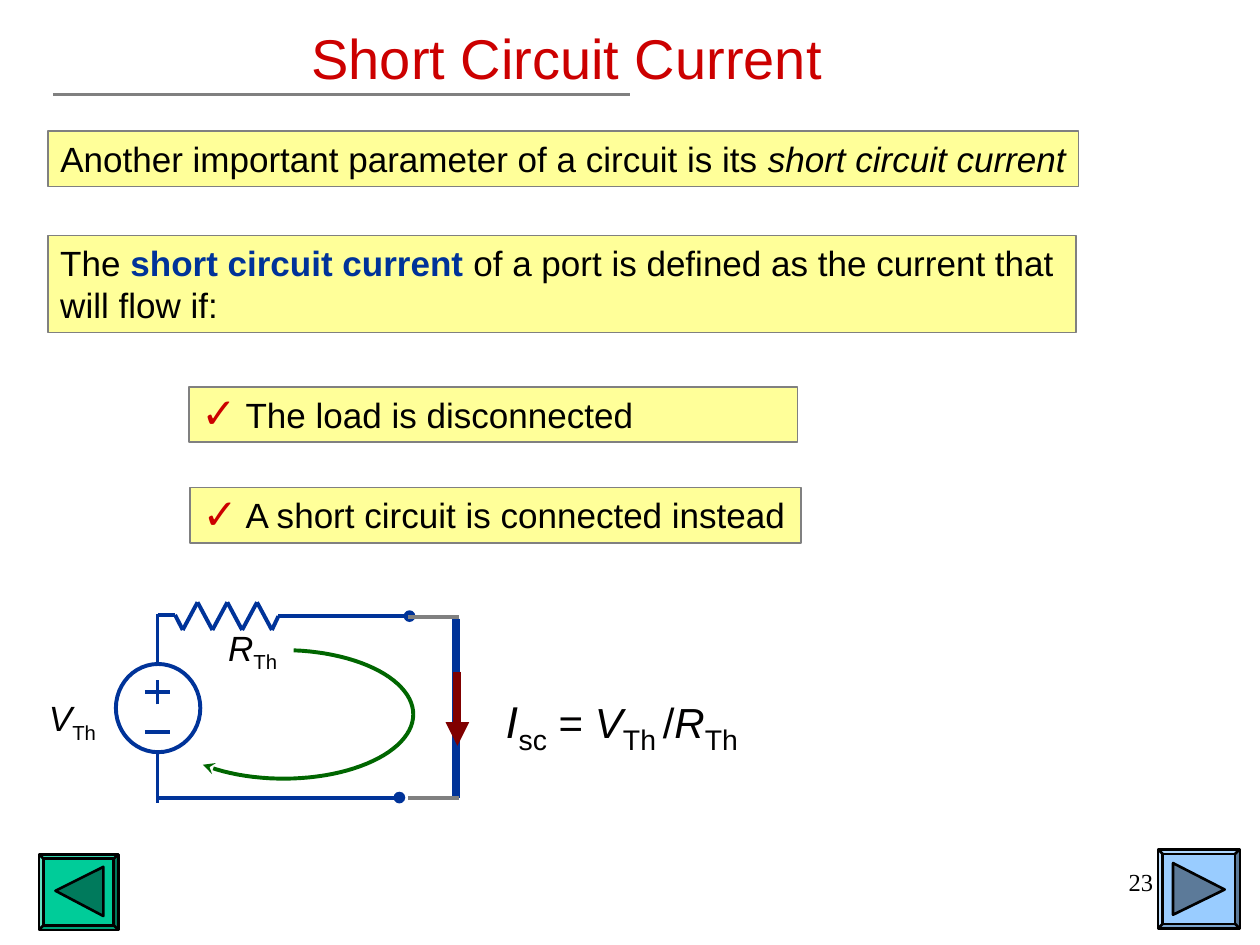
import math
from itertools import pairwise

from lxml import etree
from pptx import Presentation
from pptx import util as u
from pptx.dml.color import RGBColor
from pptx.enum import shapes, text
from pptx.oxml.ns import qn

RED = RGBColor(0xCC, 0x00, 0x00)
INK = RGBColor(0x01, 0x00, 0x00)
BLACK = RGBColor(0x00, 0x00, 0x00)
YELLOW = RGBColor(0xFF, 0xFF, 0x99)
GREY = RGBColor(0x80, 0x80, 0x80)
BLUE = RGBColor(0x00, 0x33, 0x99)
GREEN = RGBColor(0x00, 0x66, 0x00)
MAROON = RGBColor(0x80, 0x00, 0x00)
SKY = RGBColor(0x99, 0xCC, 0xFF)
SKY_DARK = RGBColor(0x5C, 0x7A, 0x99)
TEAL = RGBColor(0x00, 0xCC, 0x99)
TEAL_DARK = RGBColor(0x00, 0x7A, 0x5C)
FONT = "Arial"
SYMBOL_FONT = "DejaVu Sans"


class Board:
    def __init__(self, slide):
        self.s = slide

    def runs(self, p, parts, size, color):
        for content, style in parts:
            r = p.add_run()
            r.text = content
            r.font.name = style.get("font", FONT)
            r.font.size = u.Pt(style.get("size", size))
            r.font.color.rgb = style.get("color", color)
            r.font.bold = style.get("bold", False)
            r.font.italic = style.get("italic", False)
            if style.get("sub"):
                r.font._element.set("baseline", "-25000")

    def frame(self, sp, wrap, margin=0.1):
        tf = sp.text_frame
        tf.word_wrap = wrap
        tf.auto_size = text.MSO_AUTO_SIZE.SHAPE_TO_FIT_TEXT
        tf.vertical_anchor = text.MSO_ANCHOR.TOP
        tf.margin_left = tf.margin_right = u.Inches(margin)
        return tf.paragraphs[0]

    def title(self, at, content):
        sp = self.s.shapes.title
        sp.left, sp.top, sp.width, sp.height = map(u.Inches, at)
        sp.text_frame.vertical_anchor = text.MSO_ANCHOR.MIDDLE
        p = sp.text_frame.paragraphs[0]
        p.alignment = text.PP_ALIGN.CENTER
        self.runs(p, [(content, {})], 32, RED)

    def label(self, at, parts, size=20, align=text.PP_ALIGN.CENTER, color=INK,
              margin=0.1):
        sp = self.s.shapes.add_textbox(*map(u.Inches, at))
        p = self.frame(sp, False, margin)
        p.alignment = align
        self.runs(p, parts, size, color)

    def shape(self, kind, at, fill, line, width):
        sp = self.s.shapes.add_shape(kind, *map(u.Inches, at))
        self.paint(sp, fill, line, width)
        return sp

    def paint(self, sp, fill, line, width):
        sp.shadow.inherit = False
        if fill is None:
            sp.fill.background()
        else:
            sp.fill.solid()
            sp.fill.fore_color.rgb = fill
        sp.line.color.rgb = line
        sp.line.width = u.Pt(width)

    def box(self, at, parts, check=False, wrap=False):
        sp = self.shape(shapes.MSO_SHAPE.RECTANGLE, at, YELLOW, GREY, 1)
        p = self.frame(sp, wrap)
        p.alignment = text.PP_ALIGN.LEFT
        if check:
            pr = p._p.get_or_add_pPr()
            clr = etree.SubElement(pr, qn("a:buClr"))
            etree.SubElement(clr, qn("a:srgbClr")).set("val", str(RED))
            etree.SubElement(pr, qn("a:buSzPct")).set("val", "120000")
            etree.SubElement(pr, qn("a:buFont")).set("typeface", SYMBOL_FONT)
            etree.SubElement(pr, qn("a:buChar")).set("char", "✓")
        self.runs(p, parts, 20, INK)

    def arrowhead(self, sp, kind):
        ln = sp.line._get_or_add_ln()
        etree.SubElement(ln, qn("a:tailEnd")).set("type", kind)

    def line(self, start, end, color=BLUE, width=2.25, tail=None):
        c = self.s.shapes.add_connector(
            shapes.MSO_CONNECTOR.STRAIGHT, *map(u.Inches, (*start, *end)))
        c.line.color.rgb = color
        c.line.width = u.Pt(width)
        if tail:
            self.arrowhead(c, tail)
        etree.SubElement(c._element.spPr, qn("a:effectLst"))

    def outline(self, points, fill, line, width, close, tail=None):
        pts = [(u.Inches(x), u.Inches(y)) for x, y in points]
        fb = self.s.shapes.build_freeform(*pts[0])
        fb.add_line_segments(pts[1:], close=close)
        sp = fb.convert_to_shape()
        self.paint(sp, fill, line, width)
        if tail:
            self.arrowhead(sp, tail)

    def button(self, at, triangle, fill, dark):
        sp = self.shape(shapes.MSO_SHAPE.BEVEL, at, fill, BLACK, 1.5)
        sp.adjustments[0] = 0.06
        self.outline(triangle, dark, BLACK, 1.5, True)


def draw_source(b):
    b.shape(shapes.MSO_SHAPE.OVAL, (0.92, 5.27, 0.67, 0.7), None, BLUE, 2.25)
    b.line((1.25, 5.27), (1.25, 4.87))
    b.line((1.25, 6.37), (1.25, 5.97))
    b.line((1.25, 5.59), (1.25, 5.4))
    for y in (5.49, 5.81):
        b.line((1.15, y), (1.35, y))


def draw_resistor(b):
    zigzag = [(1.45 + 0.118 * i, 4.78 if i % 2 else 5) for i in range(7)]
    points = [(1.25, 4.88), (1.39, 4.88), *zigzag, (2.21, 4.89), (2.35, 4.89)]
    for start, end in pairwise(points):
        b.line(start, end)


def draw_loop(b):
    angles = [math.radians(-85.5 + 213.9 * i / 60) for i in range(61)]
    arc = [(2.25 + 1.03 * math.cos(a), 5.67 + 0.51 * math.sin(a)) for a in angles]
    b.outline(arc, None, GREEN, 2.25, False, "stealth")


def main():
    prs = Presentation()
    prs.slide_width, prs.slide_height = u.Inches(10), u.Inches(7.5)
    b = Board(prs.slides.add_slide(prs.slide_layouts[5]))
    italic, sub = {"italic": True}, {"sub": True}
    big_sub = {"sub": True, "size": 28}

    b.button((9.19, 6.74, 0.65, 0.63),
             [(9.31, 6.85), (9.72, 7.06), (9.31, 7.26)], SKY, SKY_DARK)
    b.button((0.31, 6.78, 0.63, 0.6),
             [(0.44, 7.07), (0.82, 6.88), (0.82, 7.27)], TEAL, TEAL_DARK)
    b.label((7.17, 6.83, 2.08, 0.5), [("23", {"font": "Times New Roman"})],
            14, text.PP_ALIGN.RIGHT, BLACK)

    b.title((0.25, -0.17, 8.5, 1.25), "Short Circuit Current")
    b.line((0.42, 0.75), (5, 0.75), GREY)
    b.box((0.38, 1.04, 8.18, 0.44),
          [("Another important parameter of a circuit is its ", {}),
           ("short circuit current", italic)])
    b.box((0.38, 1.87, 8.16, 0.77),
          [("The ", {}),
           ("short circuit current ", {"bold": True, "color": BLUE}),
           ("of a port is defined as the current that will flow if:", {})],
          wrap=True)
    b.box((1.5, 3.07, 4.83, 0.44), [(" The load is disconnected", {})], True)
    b.box((1.51, 3.87, 4.85, 0.44),
          [(" A short circuit is connected instead", {})], True)

    draw_source(b)
    draw_resistor(b)
    b.line((1.25, 6.33), (3.17, 6.33), tail="oval")
    b.line((2.33, 4.89), (3.25, 4.89), tail="oval")
    b.label((1.71, 4.92, 0.59, 0.48), [("R", italic), ("Th", sub)], margin=0.05)
    b.label((0.29, 5.48, 0.57, 0.48), [("V", italic), ("Th", sub)], margin=0.05)
    b.line((3.62, 4.91), (3.62, 6.33), width=4.5)
    for y in (6.33, 4.9):
        b.line((3.24, y), (3.64, y), GREY)
    draw_loop(b)
    b.line((3.63, 5.33), (3.63, 5.92), MAROON, 4.5, "triangle")
    b.label((3.92, 5.42, 2.04, 0.63),
            [("I", {"italic": True, "font": SYMBOL_FONT}), ("sc", big_sub),
             (" = ", {}), ("V", italic), ("Th", big_sub), (" ", sub),
             ("/", {}), ("R", italic), ("Th", big_sub)],
            24, text.PP_ALIGN.LEFT)
    prs.save("out.pptx")


if __name__ == "__main__":
    main()
